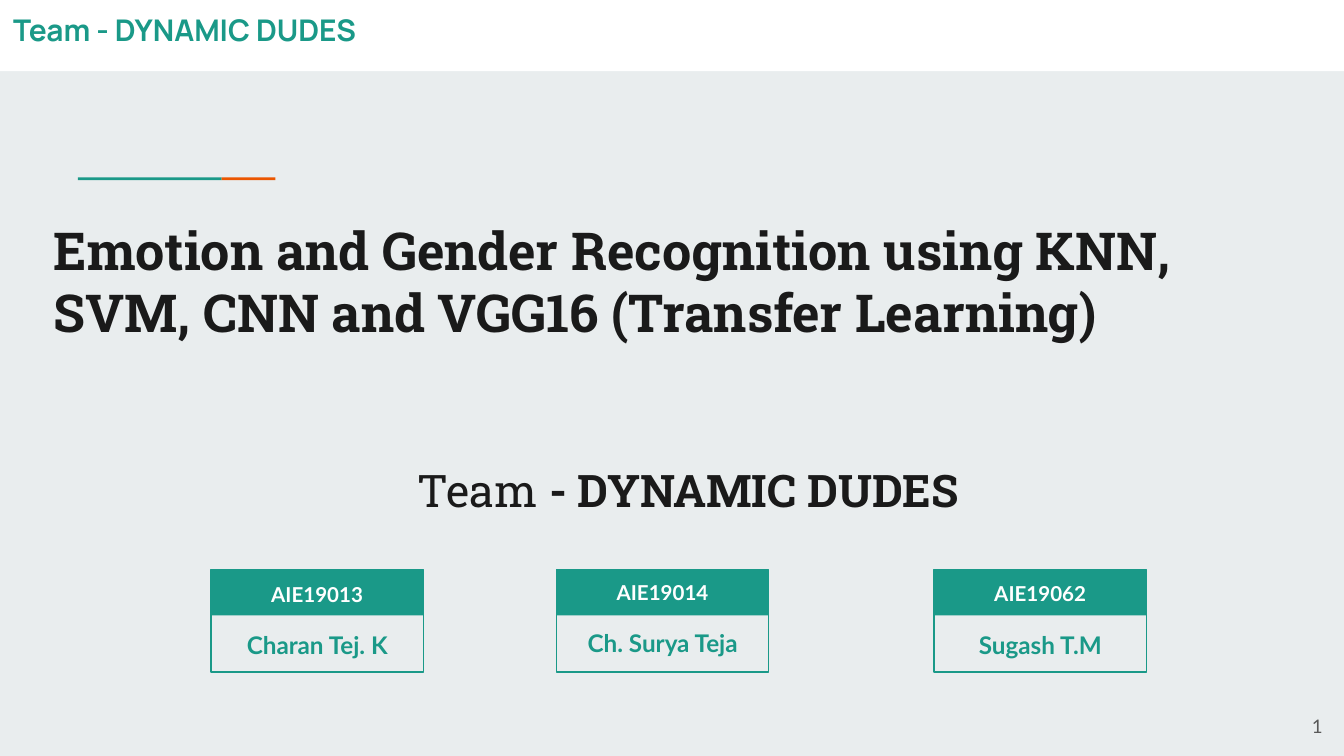
import pptx
import pptx.util
import pptx.dml.color
import pptx.enum.shapes
import pptx.enum.text

Inches = pptx.util.Inches
ALIGN = pptx.enum.text.PP_ALIGN
ANCHOR = pptx.enum.text.MSO_ANCHOR
COLORS = {"teal": "1A9988", "orange": "EB5600", "ink": "1A1A1A",
          "gray": "595959", "white": "FFFFFF", "bg": "E9EDEE"}
RGB = {k: pptx.dml.color.RGBColor.from_string(v) for k, v in COLORS.items()}

prs = pptx.Presentation()
prs.slide_width = Inches(10)
prs.slide_height = prs.slide_width * 9 // 16
s = prs.slides.add_slide(prs.slide_layouts[5])
s.background.fill.solid()
s.background.fill.fore_color.rgb = RGB["bg"]


def add_rect(x, y, w, h, fill=None, line=None):
    sp = s.shapes.add_shape(pptx.enum.shapes.MSO_SHAPE.RECTANGLE,
                            Inches(x), Inches(y), Inches(w), Inches(h))
    sp.shadow.inherit = False
    if fill:
        sp.fill.solid()
        sp.fill.fore_color.rgb = RGB[fill]
    else:
        sp.fill.background()
    if line:
        sp.line.color.rgb = RGB[line]
        sp.line.width = pptx.util.Pt(0.75)
    else:
        sp.line.fill.background()


def set_text(sp, box, text, size, font, color, align=ALIGN.LEFT,
             anchor=ANCHOR.MIDDLE, bold=True):
    sp.left, sp.top, sp.width, sp.height = [Inches(v) for v in box]
    tf = sp.text_frame
    tf.text = text
    tf.word_wrap = True
    tf.auto_size = pptx.enum.text.MSO_AUTO_SIZE.NONE
    tf.vertical_anchor = anchor
    tf.margin_left = tf.margin_right = tf.margin_top = tf.margin_bottom = Inches(0.1)
    p = tf.paragraphs[0]
    p.alignment = align
    r = p.runs[0]
    r.font.size = pptx.util.Pt(size)
    r.font.name = font
    r.font.bold = bold
    r.font.color.rgb = RGB[color]
    return tf


add_rect(0, 0, 10, 0.53, "white")
add_rect(0.58, 1.32, 1.07, 0.02, "teal")
add_rect(1.65, 1.32, 0.4, 0.02, "orange")

set_text(s.shapes.title, (0.3, 1.52, 9.41, 1.37),
         "Emotion and Gender Recognition using KNN, SVM, CNN and VGG16 (Transfer Learning)",
         28, "Roboto Slab", "ink", anchor=ANCHOR.TOP)

tf = set_text(s.shapes.add_textbox(0, 0, 0, 0), (1.57, 3.39, 6.86, 0.56), " Team ",
              24, "Roboto Slab", "ink", ALIGN.CENTER, ANCHOR.TOP, False)
tf.margin_left = Inches(0.26)
p = tf.paragraphs[0]
p.line_spacing = 0.9
r = p.add_run()
r.text = "- DYNAMIC DUDES"
r.font.size = pptx.util.Pt(24)
r.font.name = "Roboto Slab"
r.font.bold = True
r.font.color.rgb = RGB["ink"]

members = [(1.57, 4.32, 4.69, "AIE19013", "Charan Tej. K"),
           (4.14, 4.3, 4.68, "AIE19014", "Ch. Surya Teja"),
           (6.95, 4.31, 4.69, "AIE19062", "Sugash T.M")]
for x, roll_y, name_y, roll, name in members:
    add_rect(x, 4.24, 1.58, 0.76, line="teal")
    add_rect(x, 4.24, 1.58, 0.34, "teal")
    set_text(s.shapes.add_textbox(0, 0, 0, 0), (x, roll_y, 1.58, 0.21),
             roll, 11, "Lato", "white", ALIGN.CENTER)
    set_text(s.shapes.add_textbox(0, 0, 0, 0), (x, name_y, 1.58, 0.21),
             name, 13, "Lato", "teal", ALIGN.CENTER)

set_text(s.shapes.add_textbox(0, 0, 0, 0), (9.34, 5.19, 0.6, 0.43),
         "1", 10, "Lato", "gray", ALIGN.RIGHT, bold=False)

tf = set_text(s.shapes.add_textbox(0, 0, 0, 0), (0, 0.04, 2.88, 0.37),
              "Team - DYNAMIC DUDES", 16, "Manrope", "teal", anchor=ANCHOR.TOP)
tf.word_wrap = False
tf.margin_top = tf.margin_bottom = Inches(0.05)

prs.save("out.pptx")
